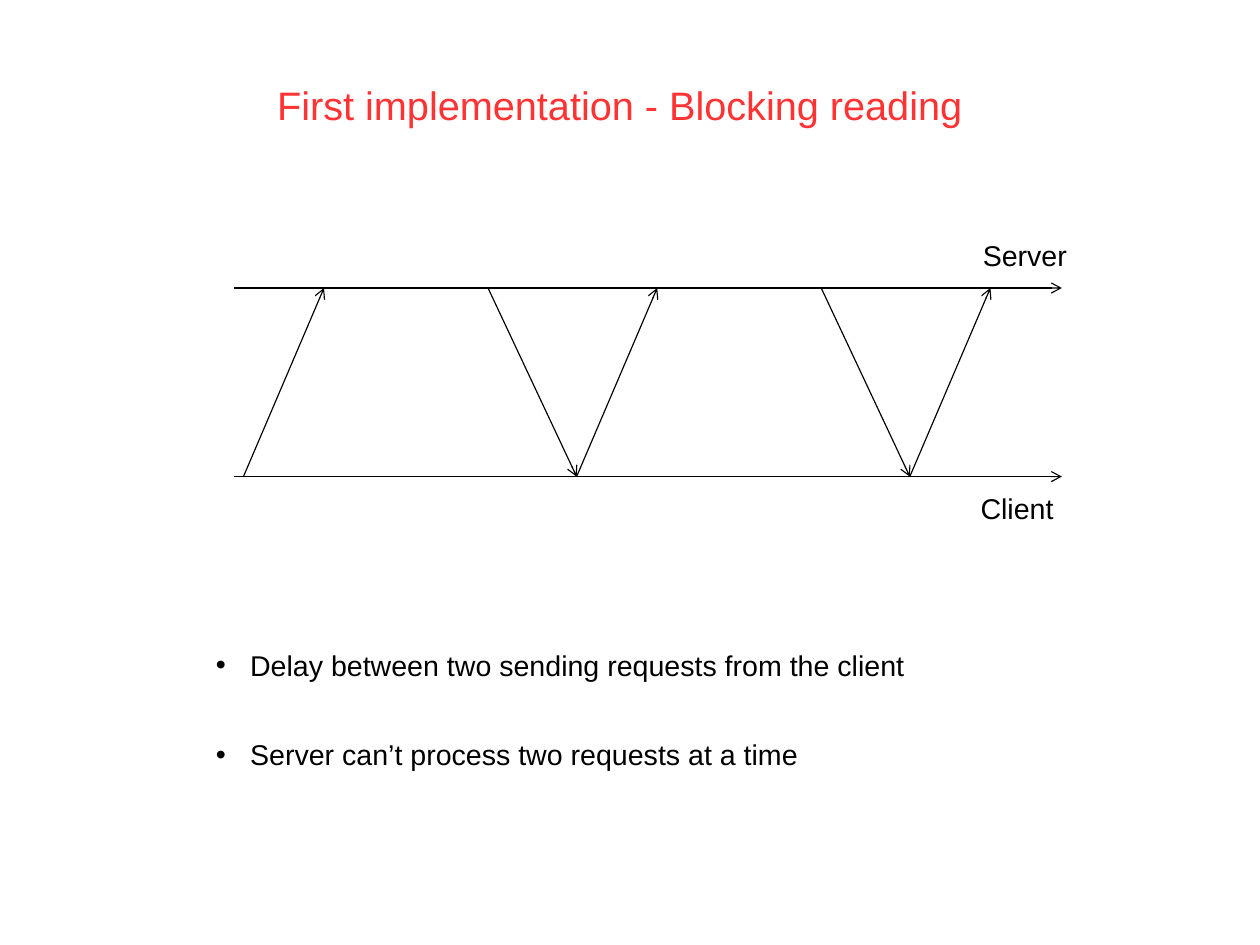
from lxml.etree import SubElement
from pptx import Presentation
from pptx.dml.color import RGBColor
from pptx.enum.shapes import MSO_CONNECTOR
from pptx.enum.text import MSO_ANCHOR, MSO_AUTO_SIZE, PP_ALIGN
from pptx.oxml.ns import qn
from pptx.util import Cm, Inches, Pt

RED = RGBColor(0xFF, 0x33, 0x33)
BLACK = RGBColor(0, 0, 0)
CELL = Inches(0.1)  # side of one grid square

SERVER_ROW, CLIENT_ROW = 25.2, 41.7
AXIS_START, AXIS_END = 20.5, 92.9
FIRST_REQUEST, CYCLE, REQUESTS = 21.3, 29.15, 3
REQUEST_TRAVEL, RESPONSE_DELAY = 7.05, 21.4


def grid(*cells):
    return [int(cell * CELL) for cell in cells]


class TimelineSlide:
    font = "Arial"
    body_size = Pt(18)
    title_size = Pt(25)
    line_width = Pt(0.75)

    def __init__(self, presentation):
        self.slide = presentation.slides.add_slide(presentation.slide_layouts[5])

    def style(self, paragraph, size, color, spacing):
        paragraph.alignment = PP_ALIGN.LEFT
        paragraph.line_spacing = spacing
        for run in paragraph.runs:
            run.font.name = self.font
            run.font.size = size
            run.font.color.rgb = color

    def title(self, text, *place):
        heading = self.slide.shapes.title
        heading.left, heading.top, heading.width, heading.height = grid(*place)
        frame = heading.text_frame
        frame.text = text
        frame.auto_size = MSO_AUTO_SIZE.NONE
        frame.vertical_anchor = MSO_ANCHOR.TOP
        self.style(frame.paragraphs[0], self.title_size, RED, 0.93)

    def label(self, text, *place):
        frame = self.slide.shapes.add_textbox(*grid(*place)).text_frame
        frame.text = text
        frame.word_wrap = False
        frame.margin_top = Inches(0.07)
        self.style(frame.paragraphs[0], self.body_size, BLACK, 0.93)

    def bullets(self, lines, *place):
        frame = self.slide.shapes.add_textbox(*grid(*place)).text_frame
        frame.word_wrap = True
        frame.text = "\n".join(lines)
        for paragraph in frame.paragraphs:
            self.style(paragraph, self.body_size, BLACK, Pt(56.6))
            properties = paragraph._p.get_or_add_pPr()
            properties.set("marL", str(Inches(0.3)))
            properties.set("indent", str(-Inches(0.3)))
            SubElement(properties, qn("a:buFont"), typeface=self.font)
            SubElement(properties, qn("a:buChar"), char="•")

    def arrow(self, *ends):
        """Draw an arrow from (column, row) to (column, row)."""
        arrow = self.slide.shapes.add_connector(MSO_CONNECTOR.STRAIGHT, *grid(*ends))
        arrow.line.color.rgb = BLACK
        arrow.line.width = self.line_width
        SubElement(arrow.line._get_or_add_ln(), qn("a:tailEnd"), type="arrow")
        SubElement(arrow._element.spPr, qn("a:effectLst"))


def main():
    presentation = Presentation()
    presentation.slide_width = Cm(28)
    presentation.slide_height = Cm(21)

    page = TimelineSlide(presentation)
    page.title("First implementation - Blocking reading", 23.25, 6.95, 63.7, 4.8)

    for row in (SERVER_ROW, CLIENT_ROW):
        page.arrow(AXIS_START, row, AXIS_END, row)
    page.label("Server", 85, 20.4, 9.8, 3.8)
    page.label("Client", 84.8, 42.5, 8.8, 3.8)

    requests = [FIRST_REQUEST + CYCLE * index for index in range(REQUESTS)]
    for sent in requests:
        page.arrow(sent, CLIENT_ROW, sent + REQUEST_TRAVEL, SERVER_ROW)
    for sent, next_sent in zip(requests, requests[1:]):
        page.arrow(sent + RESPONSE_DELAY, SERVER_ROW, next_sent, CLIENT_ROW)

    page.bullets(
        [
            "Delay between two sending requests from the client",
            "Server can’t process two requests at a time",
        ],
        17.9, 51.3, 64.4, 17,
    )
    presentation.save("out.pptx")


if __name__ == "__main__":
    main()
